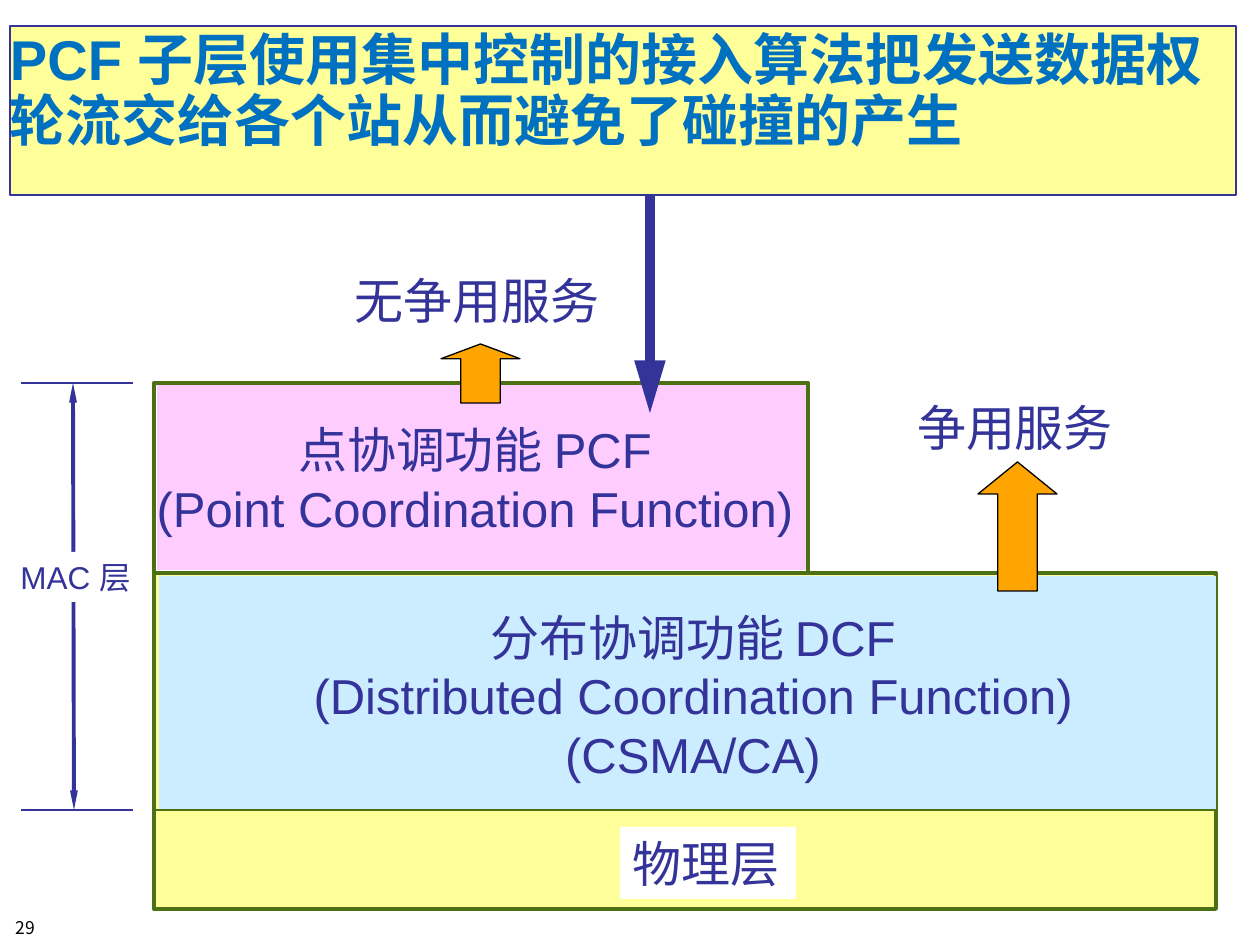
from typing import NamedTuple, Optional

from lxml import etree
from pptx import Presentation
from pptx import util as u
from pptx.dml.color import RGBColor
from pptx.enum import shapes, text
from pptx.oxml.ns import qn

PX = u.Inches(1) // 126

NAVY = RGBColor(0x33, 0x33, 0x99)
BLUE = RGBColor(0x00, 0x70, 0xC0)
GREEN = RGBColor(0x4C, 0x70, 0x13)
YELLOW = RGBColor(0xFF, 0xFF, 0x99)
SKY = RGBColor(0xCC, 0xEC, 0xFF)
PINK = RGBColor(0xFF, 0xCC, 0xFF)
ORANGE = RGBColor(0xFE, 0xA5, 0x01)
WHITE = RGBColor(0xFF, 0xFF, 0xFF)
BLACK = RGBColor(0x00, 0x00, 0x00)

RECT = shapes.MSO_SHAPE.RECTANGLE
UP = shapes.MSO_SHAPE.UP_ARROW
LEFT = text.PP_ALIGN.LEFT
CENTER = text.PP_ALIGN.CENTER


class Box(NamedTuple):
    x: int
    y: int
    w: int
    h: int


class Block(NamedTuple):
    box: Box
    fill: Optional[RGBColor] = None
    line: Optional[RGBColor] = None
    weight: float = 2.25
    kind: int = RECT
    head: Optional[float] = None


class Line(NamedTuple):
    x1: int
    y1: int
    x2: int
    y2: int
    color: RGBColor = NAVY
    weight: float = 1.5
    ends: tuple = ()
    head_width: str = "med"


class Label(NamedTuple):
    box: Box
    lines: list
    align: int = CENTER
    size: int = 28
    fill: Optional[RGBColor] = None


def draw_block(s, b: Block):
    sp = s.shapes.add_shape(b.kind, *(v * PX for v in b.box))
    sp.shadow.inherit = False
    if b.fill is None:
        sp.fill.background()
    else:
        sp.fill.solid()
        sp.fill.fore_color.rgb = b.fill
    if b.line is None:
        sp.line.fill.background()
    else:
        sp.line.color.rgb = b.line
        sp.line.width = u.Pt(b.weight)
    if b.head is not None:
        sp.adjustments[0] = 0.5
        sp.adjustments[1] = b.head
    return sp


def draw_line(s, ln: Line) -> None:
    sp = s.shapes.add_connector(shapes.MSO_CONNECTOR.STRAIGHT,
                                ln.x1 * PX, ln.y1 * PX, ln.x2 * PX, ln.y2 * PX)
    sp.line.color.rgb = ln.color
    sp.line.width = u.Pt(ln.weight)
    for end in ln.ends:
        etree.SubElement(sp.line._get_or_add_ln(), qn(f"a:{end}"),
                         type="triangle", w=ln.head_width, len="lg")
    etree.SubElement(sp._element.spPr, qn("a:effectLst"))


def write(sp, lines: list, *, size: int = 28, color: RGBColor = NAVY,
          font: str = "Arial", bold: bool = False, align: int = LEFT,
          wrap: bool = True, grow: bool = False, spacing: float = 1.0,
          side: float = 0.1) -> None:
    tf = sp.text_frame
    tf.word_wrap = wrap
    tf.auto_size = (text.MSO_AUTO_SIZE.SHAPE_TO_FIT_TEXT if grow
                    else text.MSO_AUTO_SIZE.NONE)
    tf.vertical_anchor = text.MSO_ANCHOR.TOP
    tf.margin_left = tf.margin_right = u.Inches(side)
    tf.margin_top = tf.margin_bottom = u.Inches(0.05)
    for i, line in enumerate(lines):
        p = tf.add_paragraph() if i else tf.paragraphs[0]
        p.text = line
        p.alignment = align
        p.line_spacing = spacing
        for r in p.runs:
            r.font.size = u.Pt(size)
            r.font.name = font
            r.font.bold = bold
            r.font.color.rgb = color


def draw_label(s, lb: Label) -> None:
    sp = s.shapes.add_textbox(*(v * PX for v in lb.box))
    if lb.fill is not None:
        sp.fill.solid()
        sp.fill.fore_color.rgb = lb.fill
    write(sp, lb.lines, size=lb.size, align=lb.align, wrap=False, grow=True)


MAC_TOP, MAC_BOTTOM = 383, 810
STACK_LEFT, STACK_RIGHT = 154, 1216

LAYERS = [
    Block(Box(STACK_LEFT, 573, 1062, 336), YELLOW, GREEN),
    Block(Box(159, 576, 1057, 234), SKY),
    Block(Box(157, MAC_TOP, 650, 187), PINK),
    Block(Box(STACK_LEFT, MAC_TOP, 654, 190), None, GREEN),
]
SERVICE_ARROWS = [
    Block(Box(978, 462, 79, 129), ORANGE, BLACK, 0.75, UP, 0.406),
    Block(Box(441, 344, 79, 59), ORANGE, BLACK, 0.75, UP, 0.25),
]
MAC_SPAN = Line(73, MAC_TOP, 74, MAC_BOTTOM, NAVY, 2.25, ("headEnd", "tailEnd"), "sm")
RULES = [Line(21, y, 133, y) for y in (MAC_TOP, MAC_BOTTOM)]
RULES.append(Line(STACK_LEFT, MAC_BOTTOM, STACK_RIGHT, MAC_BOTTOM, GREEN))
TITLE_POINTER = Line(650, 195, 650, 413, NAVY, 6, ("tailEnd",))

MAC_LABEL = Label(Box(8, 552, 148, 50), ["MAC 层"], LEFT, 18, WHITE)
LABELS = [
    Label(Box(342, 264, 284, 72), ["无争用服务"], LEFT),
    Label(Box(901, 391, 228, 72), ["争用服务"]),
    Label(Box(297, 601, 792, 189),
          ["分布协调功能 DCF", "(Distributed Coordination Function)", "(CSMA/CA)"]),
    Label(Box(140, 413, 670, 131),
          ["点协调功能 PCF", "(Point Coordination Function)"]),
    Label(Box(620, 827, 176, 72), ["物理层"], LEFT, 28, WHITE),
]
TITLE = "PCF 子层使用集中控制的接入算法把发送数据权\v轮流交给各个站从而避免了碰撞的产生"


def main() -> None:
    prs = Presentation()
    prs.slide_width, prs.slide_height = u.Inches(10), u.Inches(7.5)
    s = prs.slides.add_slide(prs.slide_layouts[6])

    number = s.shapes.add_textbox(3 * PX, 911 * PX, 185 * PX, 34 * PX)
    write(number, ["29"], size=10, color=BLACK, font="Noto Sans CJK SC")

    draw_line(s, MAC_SPAN)
    draw_label(s, MAC_LABEL)
    for layer in LAYERS:
        draw_block(s, layer)
    for label in LABELS:
        draw_label(s, label)
    for rule in RULES:
        draw_line(s, rule)
    for arrow in SERVICE_ARROWS:
        draw_block(s, arrow)

    title = draw_block(s, Block(Box(10, 26, 1226, 169), YELLOW, NAVY, 0.75))
    write(title, [TITLE], size=32, color=BLUE, bold=True, spacing=0.9, side=0)
    draw_line(s, TITLE_POINTER)
    prs.save("out.pptx")


if __name__ == "__main__":
    main()
